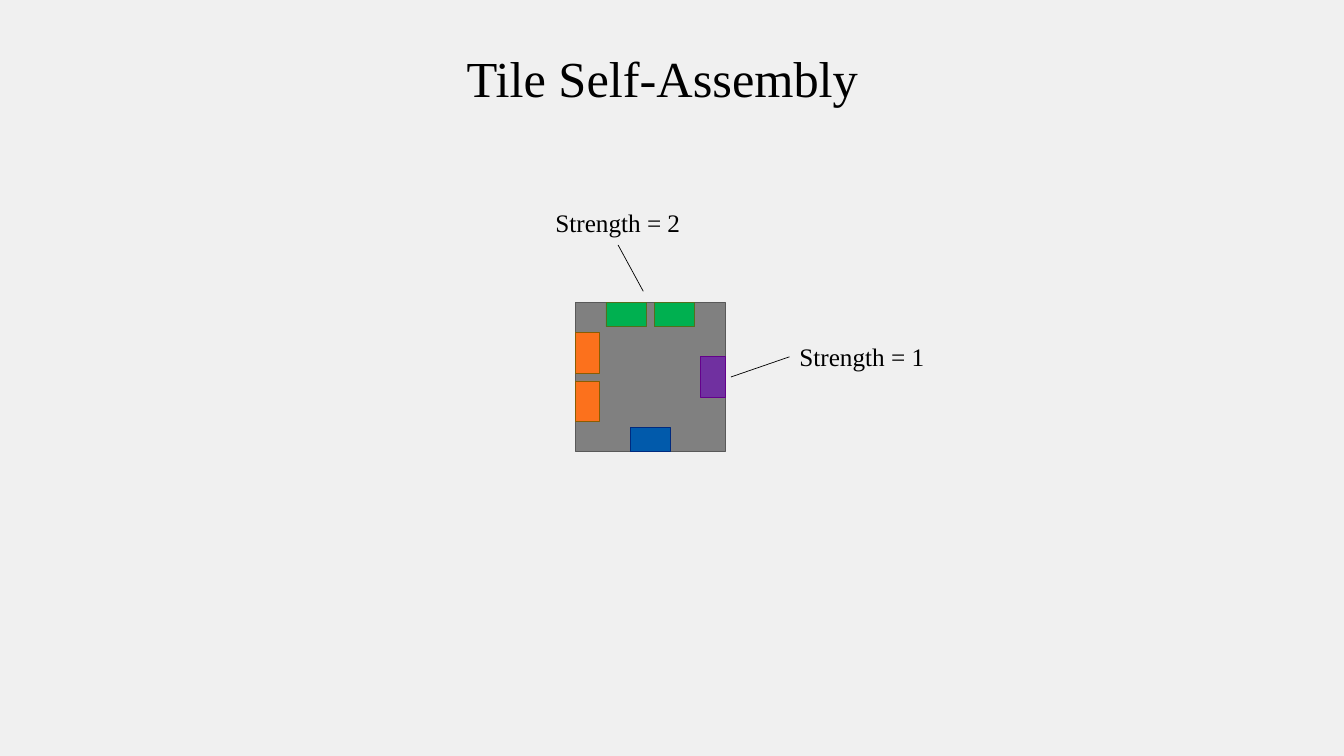
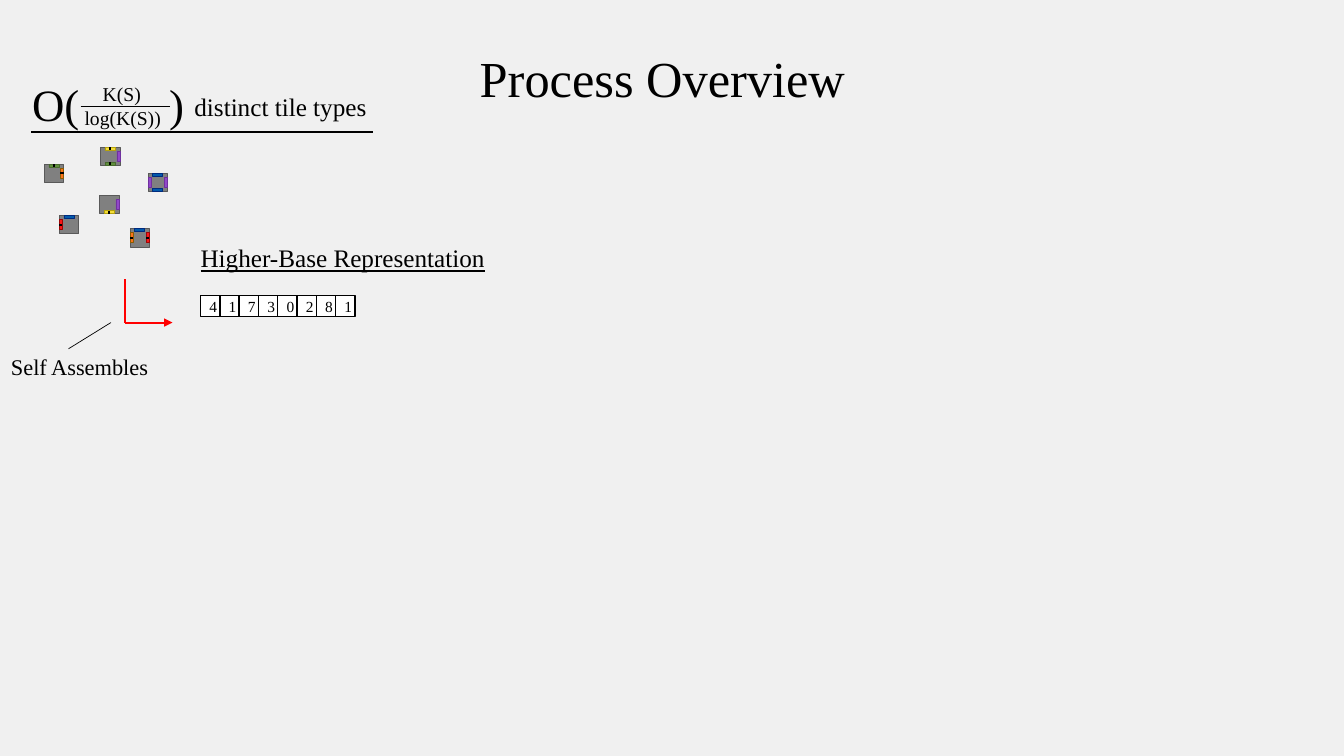
from pptx import Presentation
from pptx.dml.color import RGBColor
from pptx.enum import shapes, text
from pptx.oxml.ns import qn
from pptx.util import Inches, Pt
from lxml import etree

FONT = "Times New Roman"
BLACK, WHITE, BACKGROUND, RED = "000000", "FFFFFF", "F0F0F0", "FF0000"
TILE_FILL, TILE_LINE = "808080", "595959"
TITLE_BOX = (2.57, 0.41, 8, 0.71)

# Glue name: (fill, outline)
GLUES = {
    "blue": ("015AAB", "002A7E"),
    "purple": ("7030A0", "64018B"),
    "orange": ("FC711C", "8A5D02"),
    "green": ("00B050", "536F1D"),
    "lilac": ("9148C8", "7030A0"),
    "yellow": ("F4DE3A", "B6A20A"),
    "moss": ("608F3D", "486B2E"),
    "red": ("F81818", "9D0505"),
}

# Left, top and the (side, glue, strength) of each edge
SMALL_TILES = [
    (1.47, 1.72, [("top", "blue", 1), ("bottom", "blue", 1),
                  ("left", "lilac", 1), ("right", "lilac", 1)]),
    (1.0, 1.46, [("top", "yellow", 2), ("right", "lilac", 1), ("bottom", "moss", 2)]),
    (0.99, 1.94, [("bottom", "yellow", 2), ("right", "lilac", 1)]),
    (0.44, 1.63, [("top", "moss", 2), ("right", "orange", 2)]),
    (0.59, 2.14, [("left", "red", 2), ("top", "blue", 1)]),
    (1.29, 2.27, [("top", "blue", 1), ("left", "orange", 2), ("right", "red", 2)]),
]


def color(value):
    return RGBColor.from_string(value)


def set_font(paragraph, size, **extra):
    for name, value in {"name": FONT, "size": Pt(size), **extra}.items():
        setattr(paragraph.font, name, value)
    paragraph.font.color.rgb = color(BLACK)


def add_title_slide(presentation, title_text):
    slide = presentation.slides.add_slide(presentation.slide_layouts[5])
    title = slide.shapes.title
    for name, value in zip(("left", "top", "width", "height"), TITLE_BOX):
        setattr(title, name, Inches(value))
    title.text_frame.text = title_text
    title.text_frame.vertical_anchor = text.MSO_ANCHOR.MIDDLE
    paragraph = title.text_frame.paragraphs[0]
    paragraph.alignment = text.PP_ALIGN.CENTER
    set_font(paragraph, 36)
    return slide


def add_label(parent, box, label, size=18, **extra):
    frame = parent.shapes.add_textbox(*map(Inches, box)).text_frame
    frame.word_wrap = False
    frame.auto_size = text.MSO_AUTO_SIZE.SHAPE_TO_FIT_TEXT
    frame.text = label
    set_font(frame.paragraphs[0], size, **extra)


def add_line(parent, start, end, line=BLACK, width=0.5, arrow=False):
    connector = parent.shapes.add_connector(
        shapes.MSO_CONNECTOR.STRAIGHT, *map(Inches, (*start, *end)))
    connector.line.color.rgb = color(line)
    connector.line.width = Pt(width)
    if arrow:
        etree.SubElement(connector.line._get_or_add_ln(), qn("a:tailEnd"), type="triangle")
    etree.SubElement(connector._element.spPr, qn("a:effectLst"))


def add_rectangle(parent, box, fill, line, width=0.5):
    shape = parent.shapes.add_shape(shapes.MSO_SHAPE.RECTANGLE, *map(Inches, box))
    shape.shadow.inherit = False
    shape.fill.solid()
    shape.fill.fore_color.rgb = color(fill)
    shape.line.color.rgb = color(line)
    shape.line.width = Pt(width)
    return shape


def edge_box(tile_box, side, offset, length, depth):
    """Box lying inside one side of a tile, its middle offset along that side."""
    left, top, width, height = tile_box
    if side in ("top", "bottom"):
        y = top if side == "top" else top + height - depth
        return left + (width - length) / 2 + offset, y, length, depth
    x = left if side == "left" else left + width - depth
    return x, top + (height - length) / 2 + offset, depth, length


def add_tile(slide, box, edges, length, depth, gap=None):
    """Strength 2 shows as two glues if a gap is given, else as one glue with a tick."""
    tile = slide.shapes.add_group_shape()
    add_rectangle(tile, box, TILE_FILL, TILE_LINE)
    for side, glue, strength in edges:
        count = strength if gap else 1
        for index in range(count):
            offset = (index - (count - 1) / 2) * (length + (gap or 0))
            add_rectangle(tile, edge_box(box, side, offset, length, depth), *GLUES[glue])
        if strength == 2 and not gap:
            x, y, width, height = edge_box(box, side, 0, 0, depth)
            add_line(tile, (x, y), (x + width, y + height), width=1.5)


def add_tile_count(slide, left, top):
    """Bound on the number of tile types, with its fraction and underline."""
    bound = slide.shapes.add_group_shape()
    add_label(bound, (left, top, 0.67, 0.64), "O(", 32)
    add_label(bound, (left + 1.36, top, 0.35, 0.64), ")", 32)
    add_label(bound, (left + 0.7, top + 0.05, 0.58, 0.34), "K(S)", 14)
    add_line(bound, (left + 0.58, top + 0.35), (left + 1.47, top + 0.35))
    add_label(bound, (left + 0.52, top + 0.29, 0.96, 0.34), "log(K(S))", 14)
    add_label(slide, (left + 1.61, top + 0.15, 1.93, 0.4), "distinct tile types")
    add_line(slide, (left + 0.09, top + 0.6), (left + 3.48, top + 0.6), width=1)


def add_digit_row(slide, box, digits):
    left, top, width, height = box
    row = slide.shapes.add_group_shape()
    cell_width = width / len(digits)
    for index, digit in enumerate(digits):
        cell = add_rectangle(row, (left + index * cell_width, top, cell_width, height),
                             WHITE, BLACK, 1)
        frame = cell.text_frame
        frame.text = digit
        settings = {"margin_left": Inches(0.06), "margin_right": 0, "margin_top": 0,
                    "margin_bottom": 0, "vertical_anchor": text.MSO_ANCHOR.MIDDLE}
        for name, value in settings.items():
            setattr(frame, name, value)
        frame.paragraphs[0].alignment = text.PP_ALIGN.CENTER
        set_font(frame.paragraphs[0], 11)


def add_assembly_arrow(slide, left, top, width, height):
    """Red elbow arrow with its callout."""
    arrow = slide.shapes.add_group_shape()
    corner = (left, top + height)
    add_line(arrow, (left, top), corner, RED, 1.5)
    add_line(arrow, corner, (left + width, top + height), RED, 1.5, arrow=True)
    add_line(slide, (left - 0.56, top + 0.69), (left - 0.14, top + height))
    add_label(slide, (left - 1.23, top + 0.68, 1.58, 0.37), "Self Assembles", 16)


def build_tile_slide(presentation):
    slide = add_title_slide(presentation, "Tile Self-Assembly")
    edges = [("bottom", "blue", 1), ("right", "purple", 1),
             ("left", "orange", 2), ("top", "green", 2)]
    add_tile(slide, (5.71, 3, 1.48, 1.48), edges, length=0.4, depth=0.24, gap=0.08)
    add_label(slide, (5.41, 2.01, 1.45, 0.4), "Strength = 2")
    add_line(slide, (6.13, 2.43), (6.38, 2.89))
    add_label(slide, (7.83, 3.34, 1.45, 0.4), "Strength = 1")
    add_line(slide, (7.25, 3.74), (7.83, 3.54))


def build_process_slide(presentation):
    slide = add_title_slide(presentation, "Process Overview")
    add_tile_count(slide, 0.22, 0.71)
    for left, top, edges in SMALL_TILES:
        add_tile(slide, (left, top, 0.19, 0.18), edges, length=0.1, depth=0.03)
    add_assembly_arrow(slide, 1.24, 2.77, 0.47, 0.43)
    add_label(slide, (1.89, 2.36, 3.05, 0.4), "Higher-Base Representation", underline=True)
    add_digit_row(slide, (1.99, 2.93, 1.53, 0.21), "41730281")


def main():
    presentation = Presentation()
    presentation.slide_width, presentation.slide_height = Inches(13.33), Inches(7.5)
    background = presentation.slide_master.background.fill
    background.solid()
    background.fore_color.rgb = color(BACKGROUND)
    build_tile_slide(presentation)
    build_process_slide(presentation)
    presentation.save("out.pptx")


if __name__ == "__main__":
    main()
